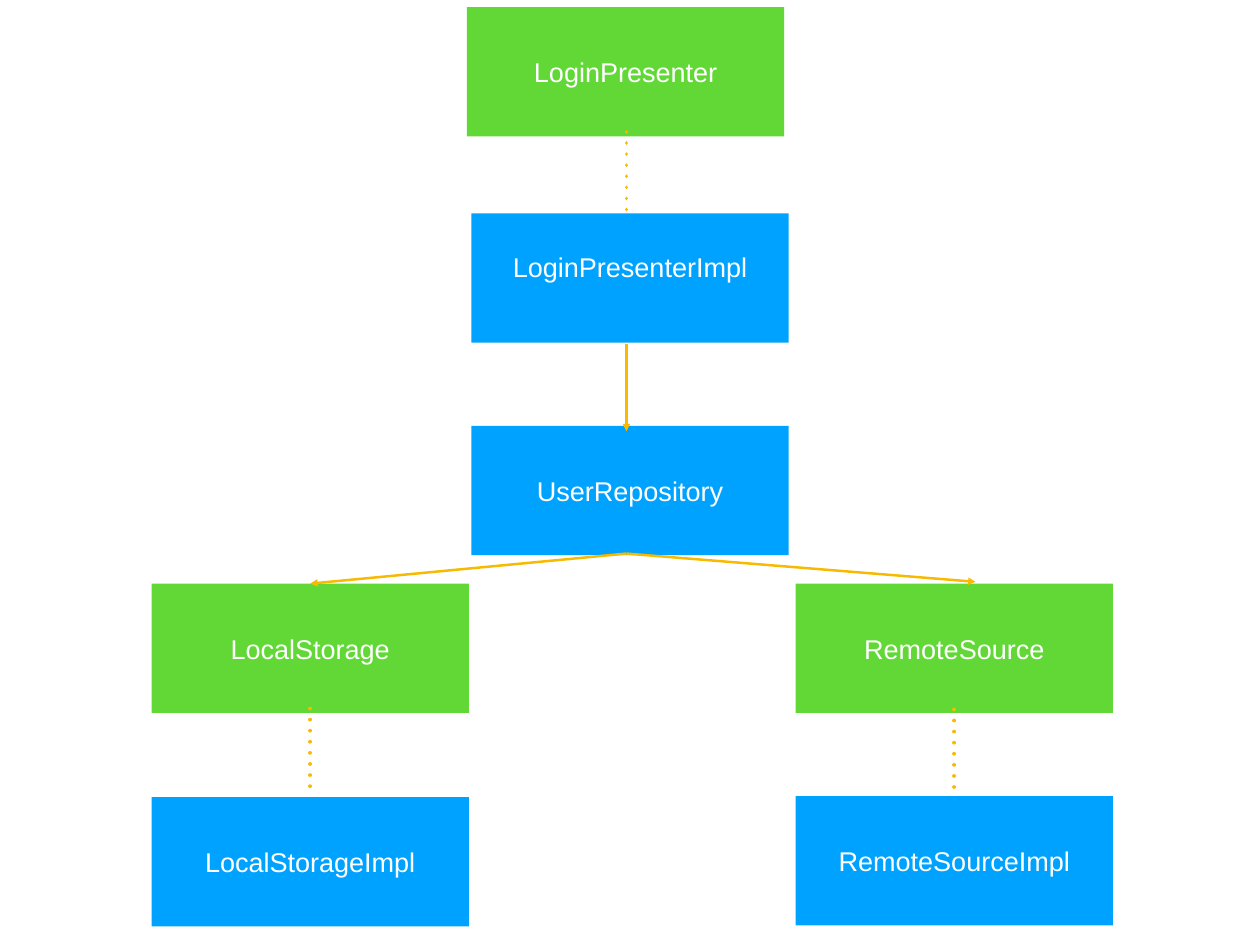
from lxml import etree
from pptx import Presentation
from pptx import util as u
from pptx.dml.color import RGBColor
from pptx.enum import shapes, text
from pptx.oxml import ns

GREEN = RGBColor(0x61, 0xD8, 0x36)   # interfaces
BLUE = RGBColor(0x00, 0xA2, 0xFF)    # classes
AMBER = RGBColor(0xF7, 0xBA, 0x01)   # relations
WHITE = RGBColor(0xFF, 0xFF, 0xFF)
TOP, BOTTOM = 0, 2


def write(frame, words, size=22, font="Arial", color=WHITE, lift=0):
    """Centre words in a frame; lift is extra bottom margin in inches."""
    frame.word_wrap = True
    frame.vertical_anchor = text.MSO_ANCHOR.MIDDLE
    frame.margin_left = frame.margin_right = frame.margin_top = u.Inches(0.06)
    frame.margin_bottom = u.Inches(0.06 + lift)
    line = frame.paragraphs[0]
    line.alignment = text.PP_ALIGN.CENTER
    run = line.add_run()
    run.text = words
    run.font.size = u.Pt(size)
    run.font.name = font
    run.font.color.rgb = color


class ClassDiagram:
    """Draws on one slide; all lengths are percent of its width and height."""
    BOX_W, BOX_H = 25.18, 13.68

    def __init__(self, deck):
        self.deck = deck
        self.slide = deck.slides.add_slide(deck.slide_layouts[6])

    def x(self, share):
        return round(self.deck.slide_width * share / 100)

    def y(self, share):
        return round(self.deck.slide_height * share / 100)

    def box(self, name, left, top, fill, lift=0):
        box = self.slide.shapes.add_shape(
            shapes.MSO_SHAPE.RECTANGLE, self.x(left), self.y(top),
            self.x(self.BOX_W), self.y(self.BOX_H))
        box.shadow.inherit = False
        box.fill.solid()
        box.fill.fore_color.rgb = fill
        box.line.fill.background()
        write(box.text_frame, name, lift=lift)
        return box

    def relation(self, start, end, width, target=None):
        line = self.slide.shapes.add_connector(
            shapes.MSO_CONNECTOR.STRAIGHT, self.x(start[0]), self.y(start[1]),
            self.x(end[0]), self.y(end[1]))
        if target is not None:
            line.end_connect(target, TOP)
        line.line.color.rgb = AMBER
        line.line.width = u.Pt(width)
        etree.SubElement(line._element.spPr, ns.qn("a:effectLst"))
        return line.line._get_or_add_ln()

    def uses(self, start, end, target=None):
        ln = self.relation(start, end, 2, target)
        etree.SubElement(ln, ns.qn("a:tailEnd"), type="triangle")

    def implemented_by(self, start, end, target=None):
        ln = self.relation(start, end, 3, target)
        ln.set("cap", "rnd")
        dots = etree.SubElement(ln, ns.qn("a:custDash"))
        etree.SubElement(dots, ns.qn("a:ds"), d="1000", sp="299000")


def main():
    deck = Presentation()
    deck.slide_width, deck.slide_height = u.Inches(14.22), u.Inches(10.67)
    diagram = ClassDiagram(deck)
    centre, local, remote = 37.41, 12.03, 63.15
    axis, local_axis, remote_axis = 49.72, 24.62, 75.74

    # Presenter and repository
    diagram.box("LoginPresenter", 37.06, 0.75, GREEN)
    diagram.box("LoginPresenterImpl", centre, 22.59, BLUE, lift=0.25)
    diagram.box("UserRepository", centre, 45.08, BLUE)

    # Data sources
    diagram.box("RemoteSource", remote, 61.76, GREEN)
    local_storage = diagram.box("LocalStorage", local, 61.76, GREEN)
    local_impl = diagram.box("LocalStorageImpl", local, 84.35, BLUE)
    remote_impl = diagram.box("RemoteSourceImpl", remote, 84.25, BLUE)

    # Interfaces to their implementations
    diagram.implemented_by((axis, 13.96), (axis, 23.24))
    diagram.implemented_by((local_axis, 74.98), (local_axis, 84.35), local_impl)
    diagram.implemented_by((remote_axis, 75.07), (remote_axis, 84.25), remote_impl)

    # Dependencies
    diagram.uses((axis, 36.36), (axis, 45.64))
    diagram.uses((axis, 58.58), (local_axis, 61.76), local_storage)
    diagram.uses((axis, 58.58), (77.43, 61.57))

    deck.save("out.pptx")


if __name__ == "__main__":
    main()
